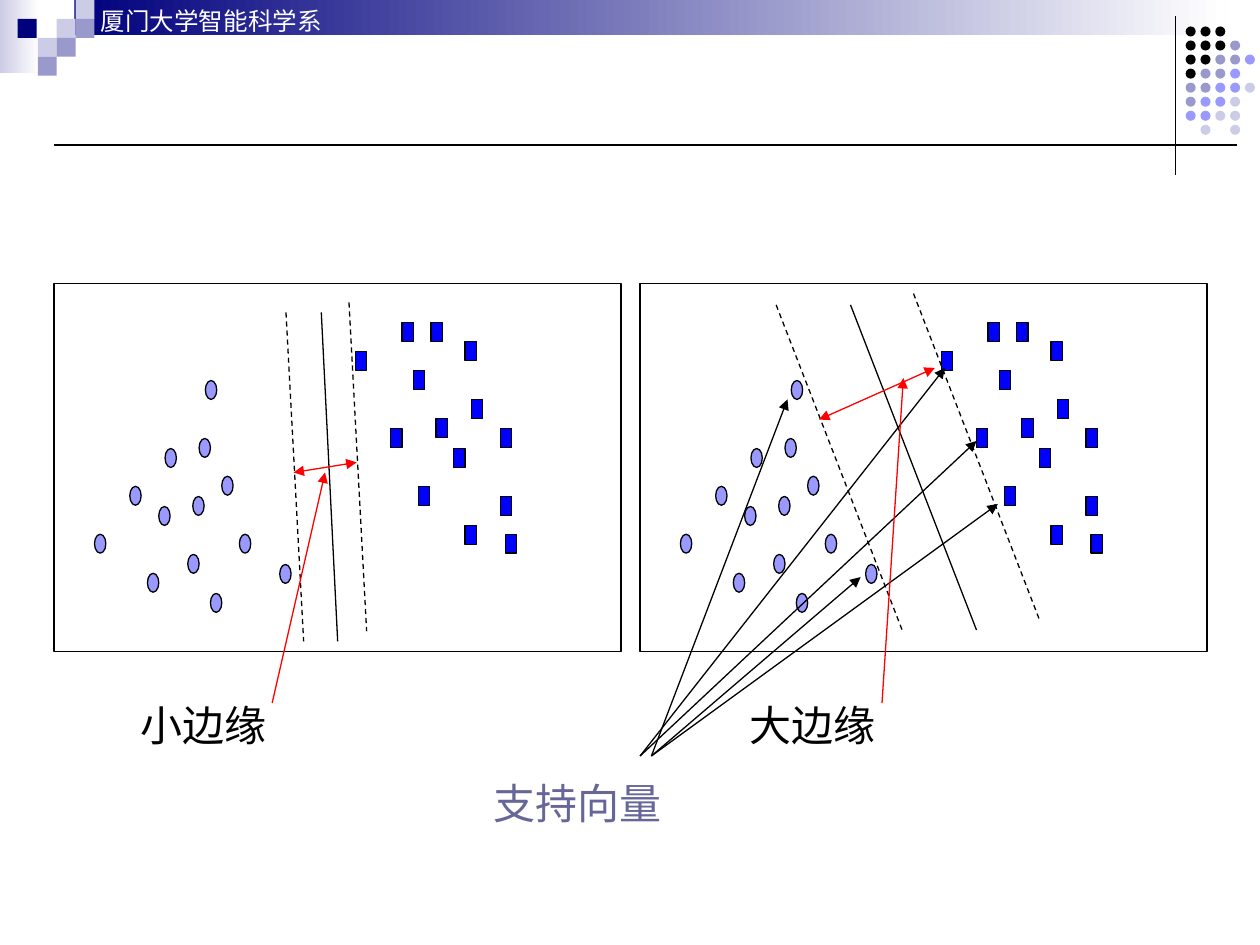
from lxml.etree import SubElement
from pptx import Presentation
from pptx.dml.color import RGBColor
from pptx.enum.dml import MSO_LINE
from pptx.enum.shapes import MSO_CONNECTOR, MSO_SHAPE
from pptx.oxml.ns import qn
from pptx.util import Inches, Pt

BLACK = RGBColor(0x00, 0x00, 0x00)
WHITE = RGBColor(0xFF, 0xFF, 0xFF)
NAVY = RGBColor(0x00, 0x00, 0x7D)
MAUVE = RGBColor(0x99, 0x99, 0xCC)
PALE = RGBColor(0xCC, 0xCC, 0xE6)
PERIWINKLE = RGBColor(0x99, 0x99, 0xFF)
BLUE = RGBColor(0x00, 0x00, 0xFF)
RED = RGBColor(0xFF, 0x00, 0x00)
SLATE = RGBColor(0x66, 0x66, 0x99)

prs = Presentation()
prs.slide_width, prs.slide_height = Inches(10), Inches(7.5)
slide = prs.slides.add_slide(prs.slide_layouts[6])


def add_shape(kind, left, top, width, height, fill=None, outlined=False):
    shape = slide.shapes.add_shape(
        kind, Inches(left), Inches(top), Inches(width), Inches(height))
    shape.shadow.inherit = False
    if fill is None:
        shape.fill.background()
    else:
        shape.fill.solid()
        shape.fill.fore_color.rgb = fill
    if outlined:
        shape.line.color.rgb = BLACK
        shape.line.width = Pt(0.75)
    else:
        shape.line.fill.background()
    return shape


def add_line(start, end, color=BLACK, width=0.75, dashed=False, arrows=()):
    """Draw a straight line; arrows lists "headEnd" (start) and "tailEnd" (end)."""
    line = slide.shapes.add_connector(
        MSO_CONNECTOR.STRAIGHT, *(Inches(v) for v in (*start, *end)))
    line.line.color.rgb = color
    line.line.width = Pt(width)
    if dashed:
        line.line.dash_style = MSO_LINE.DASH
    outline = line.line._get_or_add_ln()
    for arrow in arrows:
        SubElement(outline, qn(f"a:{arrow}"), type="triangle")
    SubElement(line._element.spPr, qn("a:effectLst"))


# Header band and mosaic
for left, width, height, color in [(0, 0.31, 0.58, PALE), (0.59, 9.13, 0.28, NAVY)]:
    band = add_shape(MSO_SHAPE.RECTANGLE, left, 0, width, height, color)
    band.fill.gradient()
    band.fill.gradient_angle = 0
    for stop, stop_color in zip(band.fill.gradient_stops, (color, WHITE)):
        stop.color.rgb = stop_color

TILE = 0.15
for left, top, color in [
    (0.45, 0.15, PALE), (0.6, 0, PALE), (0.6, 0.15, MAUVE), (0.3, 0.3, PALE),
    (0.14, 0.15, NAVY), (0.45, 0.3, MAUVE), (0.3, 0.45, MAUVE),
]:
    add_shape(MSO_SHAPE.RECTANGLE, left, top, TILE, TILE, color)

# Corner rules and dot pattern
add_line((9.33, 0.13), (9.33, 1.39))
dot_colors = {"K": BLACK, "M": MAUVE, "B": PERIWINKLE, "L": PALE}
dot_rows = ["KKK", "KKKM", "KKMMB", "KMMB", "MMBBL", "MBBL", "BBLL", " L L"]
column_pitch, row_pitch = (9.88 - 9.41) / 4, (0.99 - 0.21) / 7
for row, codes in enumerate(dot_rows):
    for column, code in enumerate(codes):
        if code in dot_colors:
            add_shape(MSO_SHAPE.OVAL, 9.41 + column * column_pitch,
                      0.21 + row * row_pitch, 0.08, 0.08, dot_colors[code])
add_line((0.43, 1.15), (9.82, 1.15), width=1)

# Two panels with the same samples and different separating lines
circles = [
    (1.17, 4.55), (1.26, 4.02), (0.75, 4.24), (1.03, 3.86), (1.49, 4.4),
    (1.31, 3.56), (1.53, 3.94), (1.58, 3.48), (1.76, 3.78), (1.9, 4.24),
    (1.67, 4.71), (2.22, 4.48), (1.63, 3.02),
]
squares = [
    (3.1, 3.4), (2.82, 2.79), (3.19, 2.56), (3.32, 3.86), (3.28, 2.94),
    (3.46, 3.32), (3.42, 2.56), (3.69, 2.71), (3.6, 3.56), (3.74, 3.17),
    (3.69, 4.17), (3.97, 3.4), (3.97, 3.94), (4.01, 4.24),
]
small_margin = [
    ((2.77, 2.4), (2.91, 5.01), True),
    ((2.27, 2.48), (2.41, 5.09), True),
    ((2.55, 2.48), (2.68, 5.09), False),
]
large_margin = [
    ((6.16, 2.42), (7.16, 5), True),
    ((7.25, 2.33), (8.25, 4.92), True),
    ((6.75, 2.42), (7.75, 5), False),
]
for offset, boundaries in [(0, small_margin), (4.65, large_margin)]:
    for kind, samples, color in [
        (MSO_SHAPE.OVAL, circles, PERIWINKLE),
        (MSO_SHAPE.RECTANGLE, squares, BLUE),
    ]:
        for left, top in samples:
            add_shape(kind, left + offset, top, 0.09, 0.15, color, outlined=True)
    add_shape(MSO_SHAPE.RECTANGLE, 0.43 + offset, 2.25, 4.5, 2.92, outlined=True)
    for start, end, dashed in boundaries:
        add_line(start, end, dashed=dashed)

# Support vector pointers
for start, end in [
    ((5.08, 6), (7.5, 2.92)), ((5.08, 6), (7.75, 3.5)), ((5.17, 6), (7.92, 4)),
    ((5.17, 6), (6.83, 4.58)), ((5.17, 6), (6.25, 3.17)),
]:
    add_line(start, end, arrows=["tailEnd"])

# Margin widths and their pointers
for start, end in [((2.33, 3.75), (2.83, 3.67)), ((6.5, 3.33), (7.42, 2.92))]:
    add_line(start, end, RED, arrows=["headEnd", "tailEnd"])
for start, end in [((2.16, 5.58), (2.58, 3.75)), ((7, 5.58), (7.17, 3))]:
    add_line(start, end, RED, arrows=["tailEnd"])

# Labels
for wording, left, top, width, height, size, font_name, color, wrap, inset in [
    ("厦门大学智能科学系", 0.67, 0, 8.51, 0.34, 14, "Noto Sans CJK JP", WHITE, True, 0.13),
    ("支持向量", 3.82, 6.12, 1.53, 0.5, 24, "Cabin", SLATE, False, 0.1),
    ("小边缘", 1.02, 5.5, 1.2, 0.5, 24, "Cabin", BLACK, False, 0.1),
    ("大边缘", 5.85, 5.5, 1.2, 0.5, 24, "Cabin", BLACK, False, 0.1),
]:
    label = slide.shapes.add_textbox(
        Inches(left), Inches(top), Inches(width), Inches(height)).text_frame
    label.word_wrap = wrap
    label.margin_left = Inches(inset)
    run = label.paragraphs[0].add_run()
    run.text = wording
    run.font.size = Pt(size)
    run.font.name = font_name
    run.font.color.rgb = color
    SubElement(run.font._element, qn("a:ea"), typeface=font_name)

prs.save("out.pptx")
